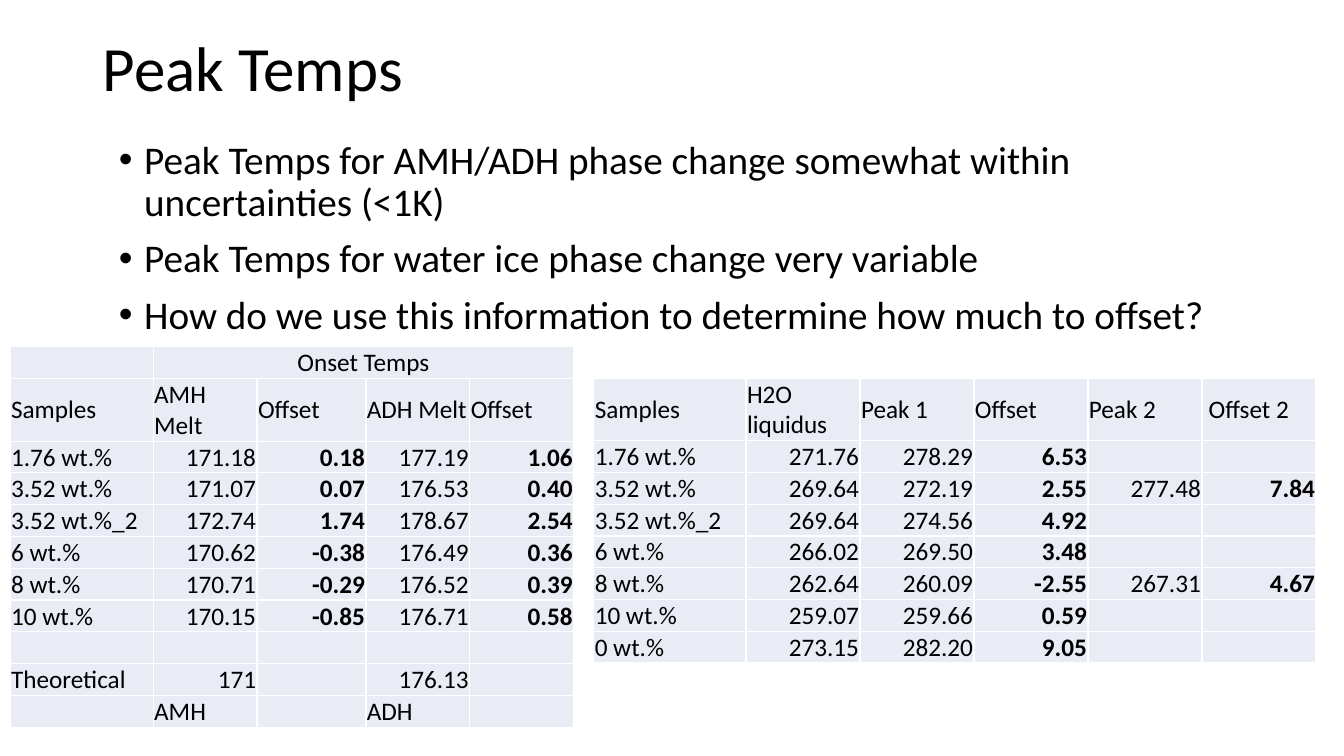
from dataclasses import dataclass

from lxml import etree
from pptx import Presentation
from pptx.dml.color import RGBColor
from pptx.enum.text import MSO_ANCHOR, MSO_AUTO_SIZE, PP_ALIGN
from pptx.oxml.ns import qn
from pptx.util import Emu, Inches, Pt

LEFT, MID, RIGHT = PP_ALIGN.LEFT, PP_ALIGN.CENTER, PP_ALIGN.RIGHT
TOP, CENTER, BOTTOM = MSO_ANCHOR.TOP, MSO_ANCHOR.MIDDLE, MSO_ANCHOR.BOTTOM
NO_FIT = MSO_AUTO_SIZE.NONE

FONT = "Calibri"
BLACK, WHITE, PALE = "000000", "FFFFFF", "E9EBF5"

# The slide is a grid of 100 columns by 100 rows
WIDE, HIGH = Inches(13.33), Inches(7.5)
LINE = 4.13  # height of one line of table text, in grid rows


@dataclass
class Box:
    x: float
    y: float
    w: float
    h: float


@dataclass
class Grid:
    x: float
    y: float
    cols: list[float]
    rows: list[list[str]]
    head: int  # index of the row of column names


ONSET = Grid(0.75, 45.87, [10.65, 7.73, 8.1, 7.73, 7.73], [
    ["", "Onset Temps", "", "", ""],
    ["Samples", "AMH Melt", "Offset", "ADH Melt", "Offset"],
    ["1.76 wt.%", "171.18", "0.18", "177.19", "1.06"],
    ["3.52 wt.%", "171.07", "0.07", "176.53", "0.40"],
    ["3.52 wt.%_2", "172.74", "1.74", "178.67", "2.54"],
    ["6 wt.%", "170.62", "-0.38", "176.49", "0.36"],
    ["8 wt.%", "170.71", "-0.29", "176.52", "0.39"],
    ["10 wt.%", "170.15", "-0.85", "176.71", "0.58"],
    [""] * 5,
    ["Theoretical", "171", "", "176.13", ""],
    ["", "AMH", "", "ADH", ""],
], 1)

PEAK = Grid(44.18, 50, [11.33] + [8.48] * 5, [
    ["Samples", "H2O liquidus", "Peak 1", "Offset", "Peak 2", " Offset 2"],
    ["1.76 wt.%", "271.76", "278.29", "6.53", "", ""],
    ["3.52 wt.%", "269.64", "272.19", "2.55", "277.48", "7.84"],
    ["3.52 wt.%_2", "269.64", "274.56", "4.92", "", ""],
    ["6 wt.%", "266.02", "269.50", "3.48", "", ""],
    ["8 wt.%", "262.64", "260.09", "-2.55", "267.31", "4.67"],
    ["10 wt.%", "259.07", "259.66", "0.59", "", ""],
    ["0 wt.%", "273.15", "282.20", "9.05", "", ""],
], 0)

POINTS = [
    "Peak Temps for AMH/ADH phase change somewhat within uncertainties (<1K)",
    "Peak Temps for water ice phase change very variable",
    "How do we use this information to determine how much to offset?",
]


def across(cols: float) -> Emu:
    return Emu(round(WIDE * cols / 100))


def down(rows: float) -> Emu:
    return Emu(round(HIGH * rows / 100))


def color(code: str) -> RGBColor:
    return RGBColor.from_string(code)


def style(para, size: float, align=LEFT, bold: bool = False) -> None:
    para.alignment = align
    font = para.font
    font.name, font.size, font.bold = FONT, Pt(size), bold
    font.color.rgb = color(BLACK)


def fill_holder(shape, box: Box, lines: list[str], size: float,
                space: float, anchor) -> None:
    shape.left, shape.top = across(box.x), down(box.y)
    shape.width, shape.height = across(box.w), down(box.h)
    frame = shape.text_frame
    frame.text = "\n".join(lines)
    frame.word_wrap, frame.auto_size = True, NO_FIT
    frame.vertical_anchor = anchor
    for para in frame.paragraphs:
        style(para, size)
        para.line_spacing = space


def add_bullet(para) -> None:
    para.space_before = Pt(10)
    props = para._p.get_or_add_pPr()
    props.set("marL", str(Inches(0.25)))
    props.set("indent", str(-Inches(0.25)))
    mark = etree.Element(qn("a:buChar"), char="•")
    props.find(qn("a:defRPr")).addprevious(mark)


def add_edges(cell) -> None:
    props = cell._tc.get_or_add_tcPr()
    for spot, side in enumerate(("lnL", "lnR", "lnT", "lnB")):
        edge = etree.Element(qn(f"a:{side}"), w=str(Pt(1)))
        paint = etree.SubElement(edge, qn("a:solidFill"))
        etree.SubElement(paint, qn("a:srgbClr"), val=WHITE)
        props.insert(spot, edge)


def fill_cell(cell, text: str, align, bold: bool) -> None:
    cell.text = text
    cell.vertical_anchor = CENTER
    cell.margin_left = cell.margin_right = cell.margin_top = Inches(0.01)
    cell.margin_bottom = 0
    cell.fill.solid()
    cell.fill.fore_color.rgb = color(PALE)
    add_edges(cell)
    style(cell.text_frame.paragraphs[0], 18, align, bold)


def draw_grid(slide, grid: Grid) -> None:
    high = LINE * (len(grid.rows) + 1)
    table = slide.shapes.add_table(
        len(grid.rows), len(grid.cols), across(grid.x), down(grid.y),
        across(sum(grid.cols)), down(high)).table
    table.first_row = table.horz_banding = False
    for col, width in zip(table.columns, grid.cols):
        col.width = across(width)
    names = grid.rows[grid.head]
    for r, row in enumerate(grid.rows):
        # Column names take two lines
        table.rows[r].height = down(LINE * (2 if r == grid.head else 1))
        for c, text in enumerate(row):
            number = text.lstrip("-").replace(".", "").isdigit()
            align = MID if r < grid.head else RIGHT if number else LEFT
            fill_cell(table.cell(r, c), text, align,
                      number and "Offset" in names[c])
    # A row above the names is one heading over the values
    if grid.head:
        table.cell(0, 1).merge(table.cell(0, len(grid.cols) - 1))


def main() -> None:
    deck = Presentation()
    deck.slide_width, deck.slide_height = WIDE, HIGH
    slide = deck.slides.add_slide(deck.slide_layouts[1])

    # Title
    fill_holder(slide.shapes.title, Box(6.9, 5.33, 86.25, 8.8),
                ["Peak Temps"], 45, 0.7, BOTTOM)

    # Tables
    for grid in (ONSET, PEAK):
        draw_grid(slide, grid)

    # Bullet list, in front of the tables
    body = slide.placeholders[1]
    fill_holder(body, Box(8.1, 17.87, 86.25, 74.4), POINTS, 28, 0.9, TOP)
    for para in body.text_frame.paragraphs:
        add_bullet(para)
    slide.shapes._spTree.append(body._element)

    deck.save("out.pptx")


if __name__ == "__main__":
    main()
